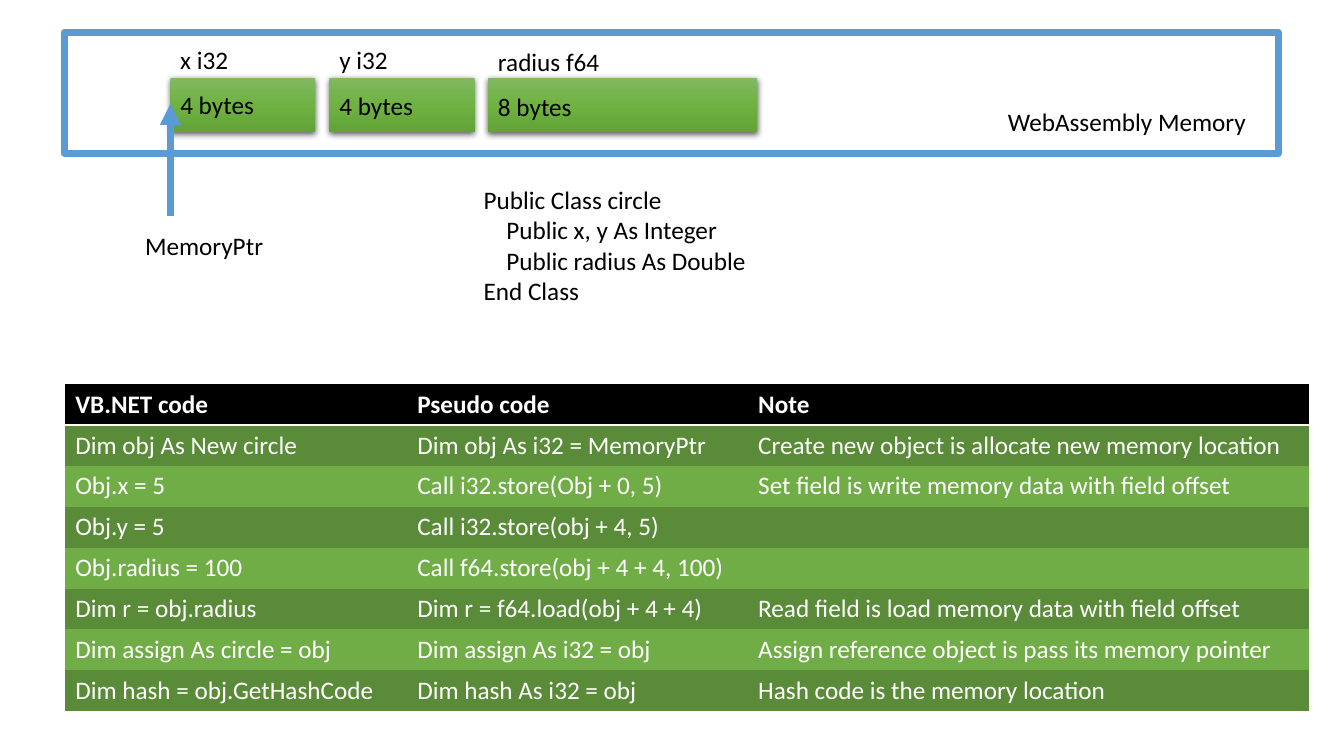
from lxml.etree import SubElement
from pptx import Presentation
from pptx.dml.color import RGBColor
from pptx.enum.shapes import MSO_CONNECTOR, MSO_SHAPE
from pptx.enum.text import MSO_ANCHOR
from pptx.oxml import parse_xml
from pptx.oxml.ns import qn
from pptx.util import Pt

NS = 'xmlns:a="http://schemas.openxmlformats.org/drawingml/2006/main"'
BLUE = "5B9BD5"
NO_STYLE = "{2D5ABB26-0587-4C30-8999-92F81FD0307C}"


def rgb(value):
    return RGBColor.from_string(value)


def write(tf, lines, color="000000", bold=False):
    for i, line in enumerate(lines):
        p = tf.paragraphs[0] if i == 0 else tf.add_paragraph()
        r = p.add_run()
        r.text = line
        font = {"name": "Calibri", "size": Pt(18), "bold": bold}
        for key, value in font.items():
            setattr(r.font, key, value)
        r.font.color.rgb = rgb(color)


prs = Presentation()
prs.slide_width, prs.slide_height = Pt(960), Pt(540)
s = prs.slides.add_slide(prs.slide_layouts[6])

frame = s.shapes.add_shape(MSO_SHAPE.RECTANGLE, Pt(46), Pt(23), Pt(867), Pt(86.5))
frame.shadow.inherit = False
frame.fill.background()
frame.line.color.rgb = rgb(BLUE)
frame.line.width = Pt(5)

fields = [
    (121.7, 103.7, "x i32", 28, "4 bytes", 60.5),
    (235.3, 103.7, "y i32", 28, "4 bytes", 61.2),
    (348.6, 192.3, "radius f64", 29.5, "8 bytes", 62),
]
texts = [
    (712.8, 72.7, 186.5, 28.8, ["WebAssembly Memory"]),
    (96.5, 160.8, 99.4, 28.8, ["MemoryPtr"]),
    (338.4, 128.2, 204.5, 94.3, ["Public Class circle", "Public x, y As Integer",
                                 "Public radius As Double", "End Class"]),
]
for x, w, name, name_y, size, size_y in fields:
    sp = s.shapes.add_shape(MSO_SHAPE.RECTANGLE, Pt(x), Pt(55.5), Pt(w), Pt(38.8))
    sp.line.fill.background()
    sp.fill.gradient()
    sp.fill.gradient_angle = 270
    stops = sp._element.spPr.find(qn("a:gradFill")).find(qn("a:gsLst"))
    stops.clear()
    for pos, color in [(0, "81B861"), (50, "6FB242"), (100, "62A336")]:
        gs = SubElement(stops, qn("a:gs"), pos=str(pos * 1000))
        SubElement(gs, qn("a:srgbClr"), val=color)
    sp.shadow.inherit = False
    sp._element.spPr.find(qn("a:effectLst")).append(parse_xml(
        f'<a:outerShdw {NS} blurRad="{Pt(4.5)}" dist="{Pt(1.5)}" dir="5400000" '
        'algn="ctr" rotWithShape="0"><a:srgbClr val="000000">'
        '<a:alpha val="63000"/></a:srgbClr></a:outerShdw>'))
    texts += [(x, name_y, 88, 28.8, [name]), (x, size_y, 68, 28.8, [size])]

for x, y, w, h, lines in texts:
    tf = s.shapes.add_textbox(Pt(x), Pt(y), Pt(w), Pt(h)).text_frame
    tf.word_wrap = False
    write(tf, lines)
    for p in tf.paragraphs[1:-1]:
        p._p.get_or_add_pPr().set("marL", str(Pt(16.3)))

pointer = s.shapes.add_connector(MSO_CONNECTOR.STRAIGHT, Pt(121.7), Pt(154.3), Pt(121.7), Pt(74.2))
pointer.line.color.rgb = rgb(BLUE)
pointer.line.width = Pt(5)
SubElement(pointer.line._get_or_add_ln(), qn("a:tailEnd"), type="triangle")
SubElement(pointer._element.spPr, qn("a:effectLst"))

rows = [
    ("VB.NET code", "Pseudo code", "Note"),
    ("Dim obj As New circle", "Dim obj As i32 = MemoryPtr",
     "Create new object is allocate new memory location"),
    ("Obj.x = 5", "Call i32.store(Obj + 0, 5)", "Set field is write memory data with field offset"),
    ("Obj.y = 5", "Call i32.store(obj + 4, 5)", ""),
    ("Obj.radius = 100", "Call f64.store(obj + 4 + 4, 100)", ""),
    ("Dim r = obj.radius", "Dim r = f64.load(obj + 4 + 4)",
     "Read field is load memory data with field offset"),
    ("Dim assign As circle = obj", "Dim assign As i32 = obj",
     "Assign reference object is pass its memory pointer"),
    ("Dim hash = obj.GetHashCode", "Dim hash As i32 = obj", "Hash code is the memory location"),
]
widths = [244.3, 243.5, 400.5]
table = s.shapes.add_table(len(rows), len(widths), Pt(46.6), Pt(274.4),
                           Pt(sum(widths)), Pt(29.2 * len(rows))).table
table._tbl.tblPr.find(qn("a:tableStyleId")).text = NO_STYLE
for column, width in zip(table.columns, widths):
    column.width = Pt(width)
for i, row in enumerate(rows):
    table.rows[i].height = Pt(29.2)
    header = i == 0
    fill = "000000" if header else ("70AD47", "5A8B39")[i % 2]
    for j, text in enumerate(row):
        cell = table.cell(i, j)
        cell.vertical_anchor = MSO_ANCHOR.TOP
        cell.fill.solid()
        cell.fill.fore_color.rgb = rgb(fill)
        if text:
            write(cell.text_frame, [text], "FFFFFF", header)
        if header:
            cell._tc.get_or_add_tcPr().insert(0, parse_xml(
                f'<a:lnB {NS} w="{Pt(2)}"><a:solidFill><a:srgbClr val="FFFFFF"/>'
                '</a:solidFill></a:lnB>'))

prs.save("out.pptx")
